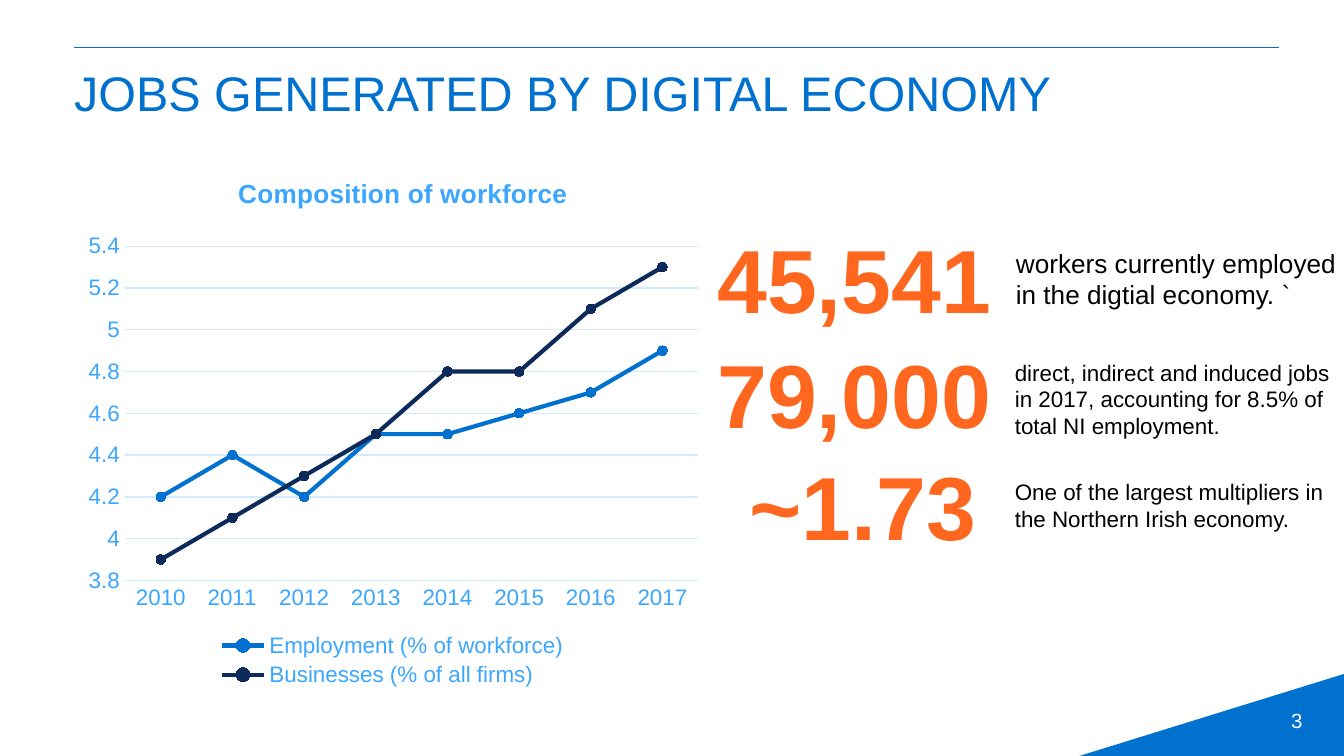
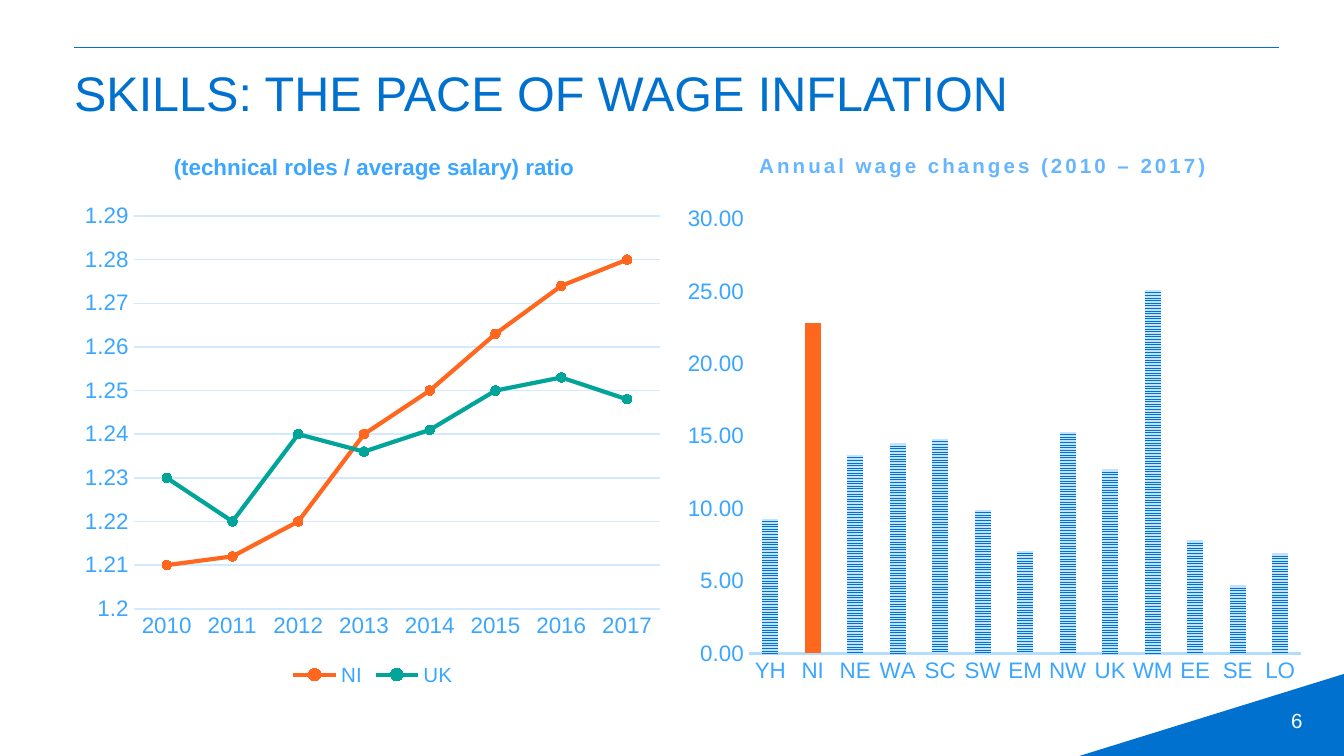
"""Build two slides on digital economy jobs and wage inflation."""
from lxml import etree
from pptx import Presentation
from pptx.chart.data import CategoryChartData
from pptx.dml.color import RGBColor
from pptx.enum.chart import XL_CHART_TYPE, XL_LEGEND_POSITION, XL_MARKER_STYLE, XL_TICK_MARK
from pptx.enum.dml import MSO_PATTERN
from pptx.enum.shapes import MSO_CONNECTOR, MSO_SHAPE
from pptx.enum.text import MSO_ANCHOR, MSO_AUTO_SIZE, PP_ALIGN
from pptx.oxml.ns import qn
from pptx.util import Cm, Pt

BLUE = RGBColor(0x00, 0x71, 0xCF)
NAVY = RGBColor(0x0C, 0x2B, 0x5A)
SKY = RGBColor(0x3A, 0xA6, 0xFF)
LIGHT_SKY = RGBColor(0x67, 0xB5, 0xFF)
GRID_BLUE = RGBColor(0xD2, 0xEA, 0xFF)
AXIS_BLUE = RGBColor(0xB3, 0xDD, 0xFF)
PATTERN_BLUE = RGBColor(0xC2, 0xE3, 0xFF)
ORANGE = RGBColor(0xFF, 0x67, 0x1F)
TEAL = RGBColor(0x00, 0xA4, 0x99)
BLACK = RGBColor(0x00, 0x00, 0x00)
WHITE = RGBColor(0xFF, 0xFF, 0xFF)

LEFT, CENTER, RIGHT = PP_ALIGN.LEFT, PP_ALIGN.CENTER, PP_ALIGN.RIGHT
TOP, MIDDLE = MSO_ANCHOR.TOP, MSO_ANCHOR.MIDDLE
LINE_CHART, COLUMN_CHART = XL_CHART_TYPE.LINE_MARKERS, XL_CHART_TYPE.COLUMN_CLUSTERED
LEGEND_BOTTOM = XL_LEGEND_POSITION.BOTTOM
NO_TICK = XL_TICK_MARK.NONE
CIRCLE = XL_MARKER_STYLE.CIRCLE
NARROW_STRIPES = MSO_PATTERN.NARROW_HORIZONTAL

FONT = "Arial"
SPACE_RATIO = 0.115
TITLE_LAYOUT, TITLE_ONLY_LAYOUT = 1, 5
YEARS = [str(year) for year in range(2010, 2018)]
REGIONS = ["YH", "NI", "NE", "WA", "SC", "SW", "EM", "NW", "UK", "WM", "EE", "SE", "LO"]


def apply_formats(target, formats):
    """Set each named attribute of the target."""
    for name, value in formats.items():
        setattr(target, name, value)


def format_font(font, size, color, bold=False):
    """Give a font the shared typeface and its own size, colour and weight."""
    apply_formats(font, {"name": FONT, "size": Pt(size), "bold": bold})
    font.color.rgb = color


def place(shape, box):
    """Move a shape to a box of left, top, width and height in centimetres."""
    apply_formats(shape, dict(zip(("left", "top", "width", "height"), map(Cm, box))))


def write_text(shape, text, size, color, bold=False, align=LEFT):
    """Fill a shape with one paragraph, without margins."""
    frame = shape.text_frame
    apply_formats(frame, {
        "word_wrap": True, "auto_size": MSO_AUTO_SIZE.NONE, "vertical_anchor": TOP,
        "margin_left": 0, "margin_right": 0, "margin_top": 0, "margin_bottom": 0,
    })
    paragraph = frame.paragraphs[0]
    apply_formats(paragraph, {"alignment": align, "space_before": Pt(size * SPACE_RATIO)})
    run = paragraph.add_run()
    run.text = text
    format_font(run.font, size, color, bold)


def add_text(slide, box, text, size, color, **options):
    """Add a text box."""
    shape = slide.shapes.add_textbox(*map(Cm, box))
    write_text(shape, text, size, color, **options)
    return shape


def remove_bullet(paragraph):
    """Clear the bullet and indent of a placeholder paragraph."""
    properties = paragraph._p.get_or_add_pPr()
    properties.set("marL", "0")
    properties.set("indent", "0")
    etree.SubElement(properties, qn("a:buNone"))


def add_frame(slide, title, number):
    """Add the rule, corner, page number and title that slides share."""
    rule = slide.shapes.add_connector(
        MSO_CONNECTOR.STRAIGHT, Cm(1.4), Cm(0.89), Cm(24.18), Cm(0.89))
    rule.line.color.rgb = BLUE
    rule.line.width = Pt(0.25)
    etree.SubElement(rule._element.spPr, qn("a:effectLst"))

    corner = slide.shapes.add_shape(
        MSO_SHAPE.ISOSCELES_TRIANGLE, Cm(20.4), Cm(12.74), Cm(5), Cm(1.55))
    corner.adjustments[0] = 1
    corner.shadow.inherit = False
    corner.fill.solid()
    corner.fill.fore_color.rgb = BLUE
    corner.line.fill.background()

    page = add_text(slide, (18.95, 13.23, 5.92, 0.76), number, 11, WHITE, align=RIGHT)
    apply_formats(page.text_frame, {"vertical_anchor": MIDDLE, "margin_right": Cm(0.25)})
    page.text_frame.paragraphs[0].space_before = 0

    place(slide.shapes.title, (1.4, 1.19, 22.8, 1.47))
    write_text(slide.shapes.title, title, 26, BLUE)


def set_layout(element, index, target=None, **fractions):
    """Fix a chart part at fractions of the chart area."""
    for old in element.findall(qn("c:layout")):
        element.remove(old)
    layout = etree.Element(qn("c:layout"))
    manual = etree.SubElement(layout, qn("c:manualLayout"))
    settings = {"layoutTarget": target} if target else {}
    settings.update(xMode="edge", yMode="edge", **fractions)
    for name, value in settings.items():
        etree.SubElement(manual, qn(f"c:{name}")).set("val", str(value))
    element.insert(index, layout)


def add_chart(slide, kind, box, categories, series, title_format, title_at, plot_at):
    """Add a chart with its title and plot area in fixed places."""
    data = CategoryChartData()
    data.categories = categories
    for name, values in series:
        data.add_series(name, values)
    chart = slide.shapes.add_chart(kind, *map(Cm, box), data).chart
    format_font(chart.font, 10, BLUE)
    chart.plots[0].vary_by_categories = False
    chart.has_legend = False

    title, size, color = title_format
    chart.has_title = True
    frame = chart.chart_title.text_frame
    frame.text = title
    format_font(frame.paragraphs[0].runs[0].font, size, color, True)
    set_layout(chart.chart_title._element, 1, x=title_at[0], y=title_at[1])
    plot_area = chart._chartSpace.xpath("c:chart/c:plotArea")[0]
    set_layout(plot_area, 0, "inner", **dict(zip("xywh", plot_at)))
    return chart


def format_axes(chart, scale, number_format, line_color, line_width, grid):
    """Style both axes; scale holds minimum, maximum and step."""
    for axis in (chart.category_axis, chart.value_axis):
        apply_formats(axis, {"major_tick_mark": NO_TICK, "minor_tick_mark": NO_TICK})
        format_font(axis.tick_labels.font, 12, SKY)
    category_line = chart.category_axis.format.line
    category_line.color.rgb = line_color
    category_line.width = Pt(line_width)

    value_axis = chart.value_axis
    apply_formats(value_axis, dict(zip(("minimum_scale", "maximum_scale", "major_unit"), scale)))
    apply_formats(value_axis.tick_labels,
                  {"number_format": number_format, "number_format_is_linked": False})
    value_axis.format.line.fill.background()
    value_axis.has_major_gridlines = grid
    if grid:
        grid_line = value_axis.major_gridlines.format.line
        grid_line.color.rgb = GRID_BLUE
        grid_line.width = Pt(0.75)


def add_line_chart(slide, box, series, colors, scale, legend_size, **places):
    """Add a line chart by year with round markers and a legend."""
    chart = add_chart(slide, LINE_CHART, box, YEARS, series, **places)
    format_axes(chart, scale, "General", GRID_BLUE, 0.75, True)
    chart.has_legend = True
    apply_formats(chart.legend, {"position": LEGEND_BOTTOM, "include_in_layout": False})
    format_font(chart.legend.font, legend_size, SKY)
    for line, color in zip(chart.plots[0].series, colors):
        line.smooth = False
        line.format.line.color.rgb = color
        line.format.line.width = Pt(2.25)
        apply_formats(line.marker, {"style": CIRCLE, "size": 5})
        line.marker.format.fill.solid()
        line.marker.format.fill.fore_color.rgb = color
        line.marker.format.line.color.rgb = color


def add_wage_columns(slide, box, values, highlight, **places):
    """Add striped columns by region with one highlighted."""
    chart = add_chart(slide, COLUMN_CHART, box, REGIONS, [("Series 1", values)], **places)
    format_axes(chart, (0, 30, 5), "0.00", AXIS_BLUE, 1.5, False)
    title_run = chart.chart_title.text_frame.paragraphs[0].runs[0]
    title_run._r.get_or_add_rPr().set("spc", "150")
    plot = chart.plots[0]
    apply_formats(plot, {"gap_width": 164, "overlap": -22})
    columns = plot.series[0]
    columns.invert_if_negative = False
    fill = columns.format.fill
    fill.patterned()
    fill.pattern = NARROW_STRIPES
    fill.fore_color.rgb = BLUE
    fill.back_color.rgb = PATTERN_BLUE
    point_fill = columns.points[REGIONS.index(highlight)].format.fill
    point_fill.solid()
    point_fill.fore_color.rgb = ORANGE


def build_jobs_slide(presentation):
    """Build the slide on jobs."""
    slide = presentation.slides.add_slide(presentation.slide_layouts[TITLE_LAYOUT])
    add_frame(slide, "JOBS GENERATED BY DIGITAL ECONOMY", "3")
    add_line_chart(
        slide, (1.4, 3.05, 12.04, 10.03),
        [("Employment (% of workforce)", (4.2, 4.4, 4.2, 4.5, 4.5, 4.6, 4.7, 4.9)),
         ("Businesses (% of all firms)", (3.9, 4.1, 4.3, 4.5, 4.8, 4.8, 5.1, 5.3))],
        (BLUE, NAVY), (3.8, 5.4, 0.2), 12,
        title_format=("Composition of workforce", 14, SKY),
        title_at=(0.25, 0.02), plot_at=(0.08, 0.16, 0.9, 0.63))

    body = slide.placeholders[1]
    place(body, (13.26, 6.4, 5.77, 2.26))
    write_text(body, "79,000", 48, ORANGE, bold=True, align=CENTER)
    remove_bullet(body.text_frame.paragraphs[0])
    for box, figure in (((13.26, 4.24, 5.77, 1.85), "45,541"),
                        ((14.05, 8.53, 4.52, 2.26), "~1.73")):
        add_text(slide, box, figure, 48, ORANGE, bold=True, align=CENTER)

    notes = (
        ((19.2, 4.67, 6.2, 1.32), "workers currently employed in the digtial economy. `", 14),
        ((19.18, 6.78, 6, 1.85), "direct, indirect and induced jobs in 2017, "
         "accounting for 8.5% of total NI employment.", 12),
        ((19.18, 9.04, 6, 1.24),
         "One of the largest multipliers in the Northern Irish economy.", 12),
    )
    for box, text, size in notes:
        add_text(slide, box, text, size, BLACK)


def build_wages_slide(presentation):
    """Build the slide on wages."""
    slide = presentation.slides.add_slide(presentation.slide_layouts[TITLE_ONLY_LAYOUT])
    add_frame(slide, "SKILLS: THE PACE OF WAGE INFLATION", "6")
    add_line_chart(
        slide, (1.4, 2.62, 11.3, 10.46),
        [("NI", (1.21, 1.212, 1.22, 1.24, 1.25, 1.263, 1.274, 1.28)),
         ("UK", (1.23, 1.22, 1.24, 1.236, 1.241, 1.25, 1.253, 1.248))],
        (ORANGE, TEAL), (1.2, 1.29, 0.01), 11,
        title_format=("(technical roles / average salary) ratio", 12, SKY),
        title_at=(0.16, 0.02), plot_at=(0.1, 0.14, 0.88, 0.71))
    add_wage_columns(
        slide, (12.7, 2.69, 12.14, 10.39),
        (9.3, 22.8, 13.7, 14.5, 14.8, 9.9, 7.1, 15.3, 12.7, 25.1, 7.8, 4.7, 6.9), "NI",
        title_format=("Annual wage changes (2010 – 2017)", 11, LIGHT_SKY),
        title_at=(0.13, 0.01), plot_at=(0.12, 0.14, 0.86, 0.79))


def main():
    """Build and save the presentation."""
    presentation = Presentation()
    apply_formats(presentation, {"slide_width": Cm(25.4), "slide_height": Cm(14.29)})
    build_jobs_slide(presentation)
    build_wages_slide(presentation)
    presentation.save("out.pptx")


if __name__ == "__main__":
    main()
